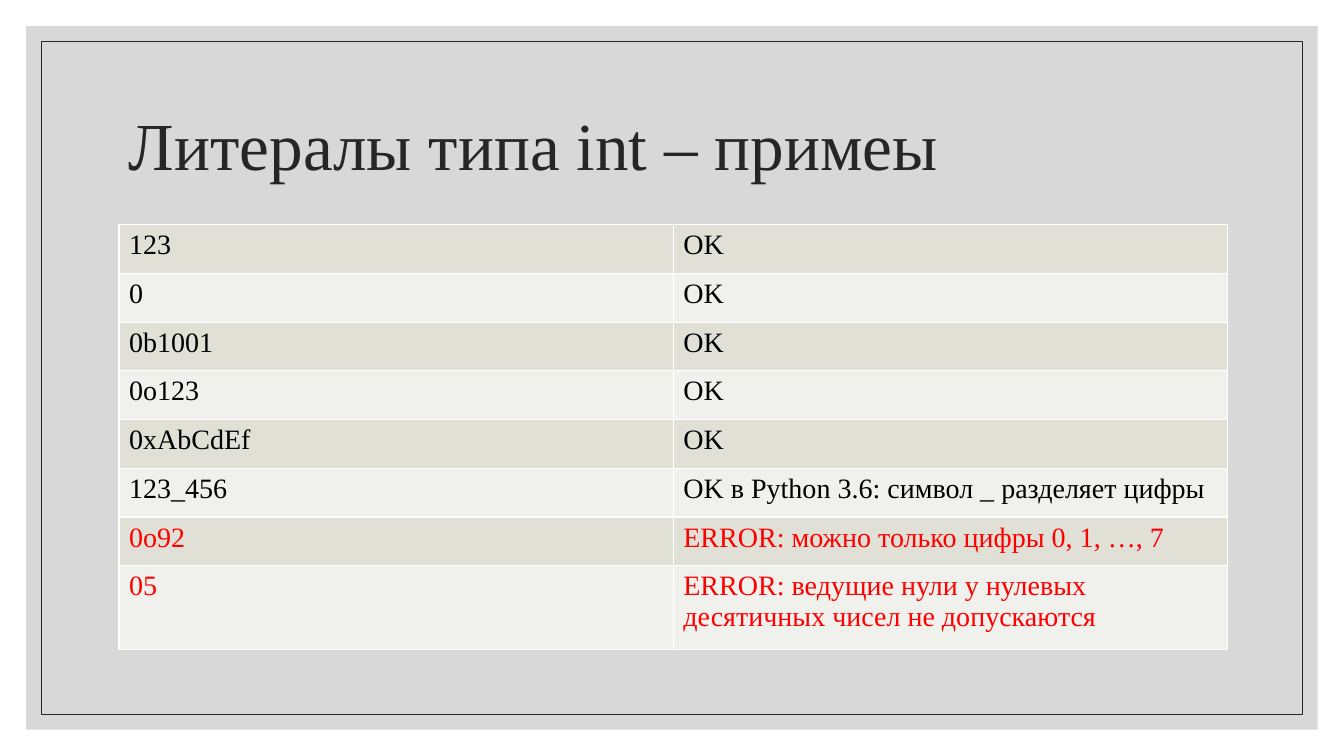
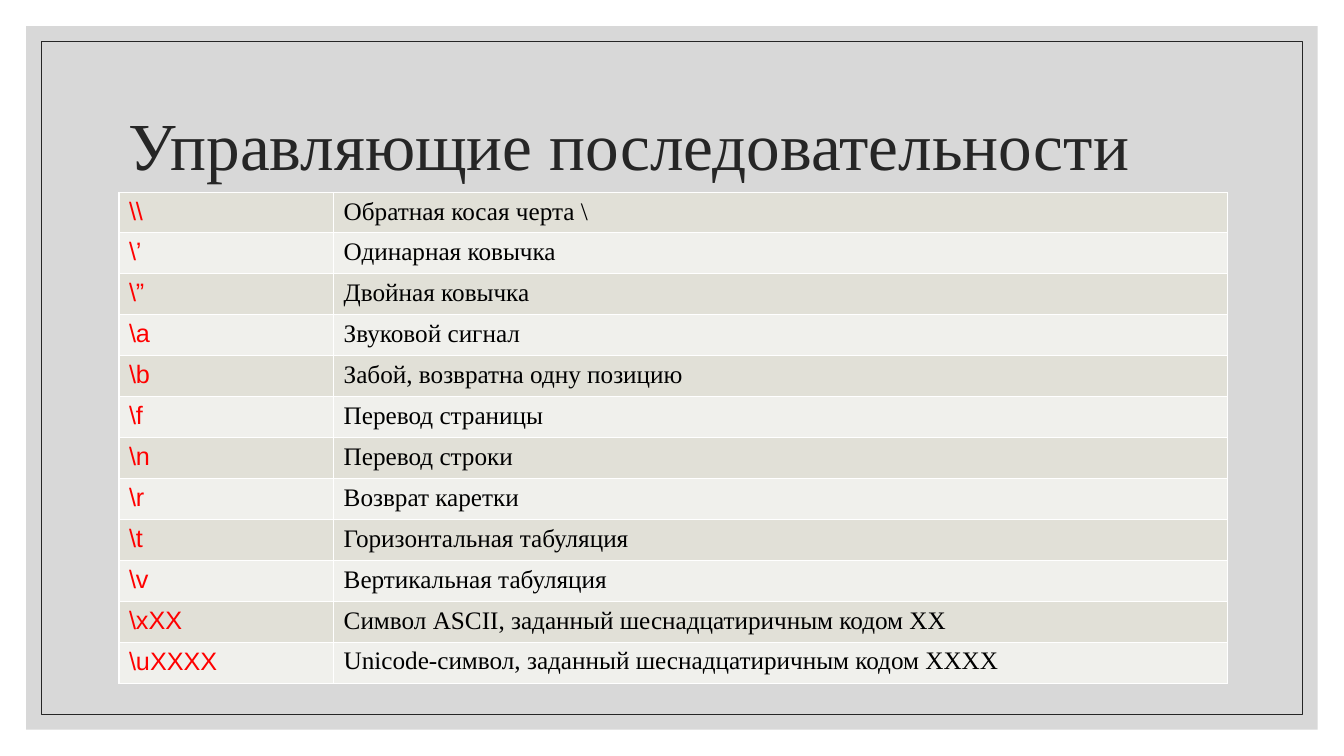
from dataclasses import dataclass

from lxml.etree import SubElement
from pptx import Presentation
from pptx.dml.color import RGBColor
from pptx.enum.shapes import MSO_SHAPE
from pptx.enum.text import MSO_ANCHOR
from pptx.oxml import parse_xml
from pptx.oxml.ns import nsdecls, qn
from pptx.util import Inches, Pt


@dataclass(frozen=True)
class Theme:
    # Colours
    ink: str = "262626"
    body: str = "000000"
    accent: str = "FF0000"
    panel: str = "BFBFBF"
    border: str = "FFFFFF"
    bands: tuple = ("E1E0D7", "F0F0EC")
    # Type
    serif: str = "Times New Roman"
    sans: str = "Arial"
    title_size: int = 48
    large_size: int = 20
    small_size: int = 18
    # Lines and panel opacity in percent
    frame_width: float = 0.5
    border_width: float = 1
    panel_alpha: int = 60


T = Theme()
COLS, ROWS = 160, 90  # square grid units covering the slide
LEFT, WIDTH = 14.16, 132  # content column


def write(tf, text, size, color, font=T.serif, spacing=None):
    p = tf.paragraphs[0]
    p.line_spacing = spacing
    r = p.add_run()
    r.text = text
    r.font.size = Pt(size)
    r.font.name = font
    r.font.color.rgb = RGBColor.from_string(color)


class Deck:
    def __init__(self):
        self.prs = Presentation()
        self.prs.slide_width, self.prs.slide_height = Inches(13.333), Inches(7.5)
        self.unit_x = self.prs.slide_width / COLS
        self.unit_y = self.prs.slide_height / ROWS
        self.s = None

    def x(self, cols):
        return round(cols * self.unit_x)

    def y(self, rows):
        return round(rows * self.unit_y)

    def box(self, left, top, width, height):
        return self.x(left), self.y(top), self.x(width), self.y(height)

    def slide(self, title):
        self.s = self.prs.slides.add_slide(self.prs.slide_layouts[6])
        # Translucent panel
        panel = self.inset_rect(3.12)
        panel.fill.solid()
        panel.fill.fore_color.rgb = RGBColor.from_string(T.panel)
        panel.line.fill.background()
        color = panel.fill._xPr.find(".//" + qn("a:srgbClr"))
        SubElement(color, qn("a:alpha"), val=str(T.panel_alpha * 1000))
        # Thin frame
        frame = self.inset_rect(4.92)
        frame.fill.background()
        frame.line.color.rgb = RGBColor.from_string(T.ink)
        frame.line.width = Pt(T.frame_width)
        self.title(title)

    def inset_rect(self, inset):
        at = self.box(inset, inset, COLS - 2 * inset, ROWS - 2 * inset)
        sp = self.s.shapes.add_shape(MSO_SHAPE.RECTANGLE, *at)
        sp.shadow.inherit = False
        return sp

    def title(self, text):
        tf = self.s.shapes.add_textbox(*self.box(LEFT, 8.76, WIDTH, 18)).text_frame
        tf.word_wrap = True
        tf.vertical_anchor = MSO_ANCHOR.MIDDLE
        write(tf, text, T.title_size, T.ink, spacing=0.9)

    def table(self, top, first_col, heights, data, formats):
        """formats(row) gives one dict of text format per cell."""
        at = self.box(LEFT, top, WIDTH, sum(heights))
        tbl = self.s.shapes.add_table(len(data), 2, *at).table
        tbl.first_row = tbl.horz_banding = False
        for col, width in zip(tbl.columns, (first_col, WIDTH - first_col)):
            col.width = self.x(width)
        for i, (row, height) in enumerate(zip(data, heights)):
            tbl.rows[i].height = self.y(height)
            for j, (text, fmt) in enumerate(zip(row, formats(row))):
                self.cell(tbl.cell(i, j), text, T.bands[i % 2], fmt)

    def cell(self, cell, text, fill, fmt):
        cell.fill.solid()
        cell.fill.fore_color.rgb = RGBColor.from_string(fill)
        # Borders come before the fill in the cell properties
        tc_pr = cell._tc.get_or_add_tcPr()
        for i, side in enumerate("LRTB"):
            tc_pr.insert(i, parse_xml(
                f'<a:ln{side} {nsdecls("a")} w="{Pt(T.border_width)}"><a:solidFill>'
                f'<a:srgbClr val="{T.border}"/></a:solidFill></a:ln{side}>'))
        write(cell.text_frame, text, **fmt)


def literal_formats(row):
    color = T.accent if row[1].startswith("ERROR") else T.body
    return [dict(size=T.large_size, color=color)] * 2


def escape_formats(row):
    return [dict(size=T.small_size, color=T.accent, font=T.sans),
            dict(size=T.small_size, color=T.body)]


LITERALS = [
    ("123", "OK"),
    ("0", "OK"),
    ("0b1001", "OK"),
    ("0o123", "OK"),
    ("0xAbCdEf", "OK"),
    ("123_456", "OK в Python 3.6: символ _ разделяет цифры"),
    ("0o92", "ERROR: можно только цифры 0, 1, …, 7"),
    ("05", "ERROR: ведущие нули у нулевых десятичных чисел не допускаются"),
]

ESCAPES = [
    (r"\\", "Обратная косая черта \\"),
    (r"\’", "Одинарная ковычка"),
    (r"\”", "Двойная ковычка"),
    (r"\a", "Звуковой сигнал"),
    (r"\b", "Забой, возвратна одну позицию"),
    (r"\f", "Перевод страницы"),
    (r"\n", "Перевод строки"),
    (r"\r", "Возврат каретки"),
    (r"\t", "Горизонтальная табуляция"),
    (r"\v", "Вертикальная табуляция"),
    (r"\xXX", "Символ ASCII, заданный шеснадцатиричным кодом ХХ"),
    (r"\uXXXX", "Unicode-символ, заданный шеснадцатиричным кодом ХХХХ"),
]


def main():
    deck = Deck()

    # Integer literals: the last row holds two lines
    deck.slide("Литералы типа int – примеы")
    heights = [5.8] * (len(LITERALS) - 1) + [9.96]
    deck.table(26.76, WIDTH / 2, heights, LITERALS, literal_formats)

    # Escape sequences: the first row is slightly lower
    deck.slide("Управляющие последовательности")
    heights = [4.5] + [4.88] * (len(ESCAPES) - 1)
    deck.table(22.92, 25.56, heights, ESCAPES, escape_formats)

    deck.prs.save("out.pptx")


if __name__ == "__main__":
    main()
